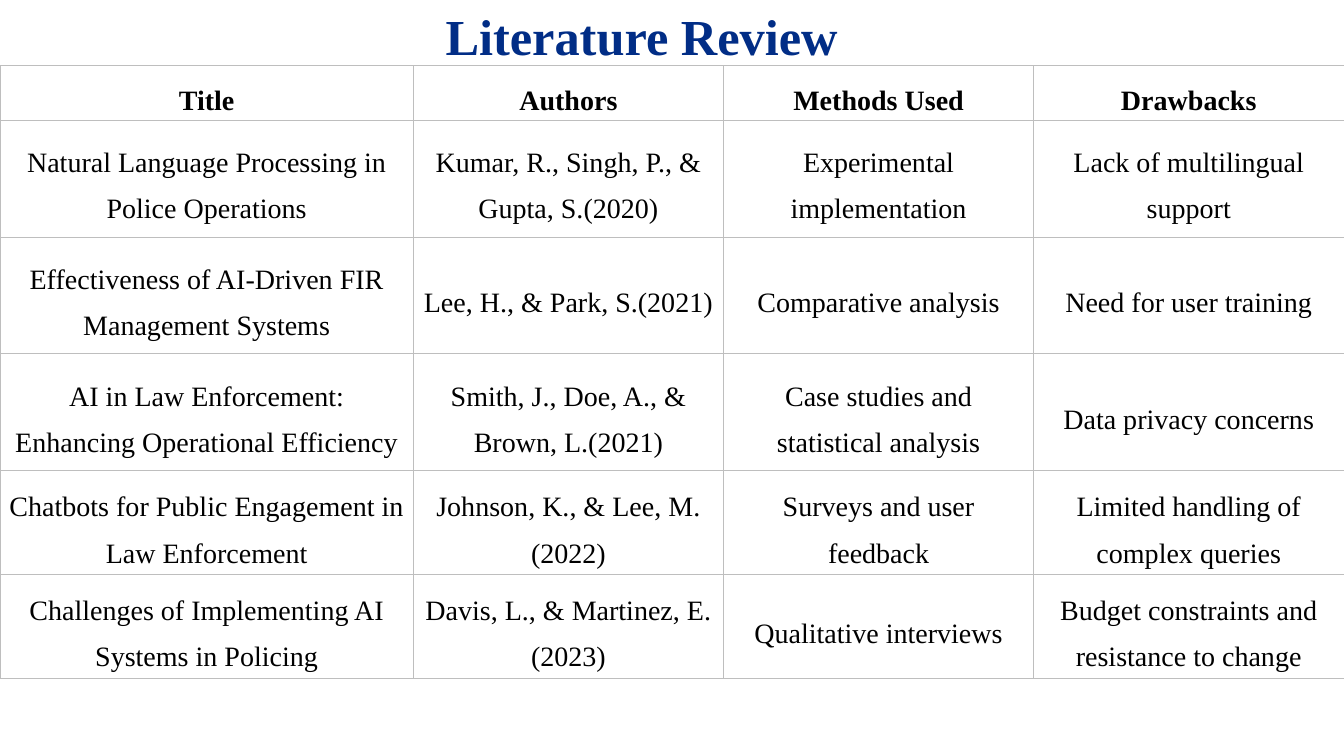
from lxml import etree
from pptx import Presentation
from pptx.dml.color import RGBColor
from pptx.enum.text import MSO_ANCHOR, PP_ALIGN
from pptx.oxml.ns import qn
from pptx.util import Inches, Pt

TITLE = "Literature Review"
ROWS = [
    ("Title", "Authors", "Methods Used", "Drawbacks"),
    ("Natural Language Processing in Police Operations",
     "Kumar, R., Singh, P., & Gupta, S.(2020)",
     "Experimental implementation", "Lack of multilingual support"),
    ("Effectiveness of AI-Driven FIR Management Systems",
     "Lee, H., & Park, S.(2021)",
     "Comparative analysis", "Need for user training"),
    ("AI in Law Enforcement: Enhancing Operational Efficiency",
     "Smith, J., Doe, A., & Brown, L.(2021)",
     "Case studies and statistical analysis", "Data privacy concerns"),
    ("Chatbots for Public Engagement in Law Enforcement",
     "Johnson, K., & Lee, M.(2022)",
     "Surveys and user feedback", "Limited handling of complex queries"),
    ("Challenges of Implementing AI Systems in Policing",
     "Davis, L., & Martinez, E.(2023)",
     "Qualitative interviews", "Budget constraints and resistance to change"),
]
WIDE, HIGH = 13.33, 7.5
TOP, FIRST = 0.65, 4.1
COLS = [FIRST] + [(WIDE - FIRST) / 3] * 3
TALL = [0.54] + [1.16] * 3 + [1.03] * 2
FONT, BLACK, GREY = "Times New Roman", "000000", "BEBEBE"
BLUES = ("012D86", "0E2557")
CENTER, MIDDLE = PP_ALIGN.CENTER, MSO_ANCHOR.MIDDLE


def color(code):
    """Turn a hex string into a colour."""
    return RGBColor.from_string(code)


def write(frame, text, size=20, bold=False, line=None, after=None, fade=None):
    """Write one centred paragraph in a text frame."""
    frame.word_wrap = True
    para = frame.paragraphs[0]
    para.alignment = CENTER
    para.line_spacing = line
    para.space_after = after
    run = para.add_run()
    run.text = text
    font = run.font
    font.name, font.size, font.bold = FONT, Pt(size), bold
    if fade:
        font.fill.gradient()
        font.fill.gradient_angle = 270
        for stop, code in zip(font.fill.gradient_stops, fade):
            stop.color.rgb = color(code)
    else:
        font.color.rgb = color(BLACK)


def border(cell):
    """Draw a thin grey line on each side of a cell."""
    props = cell._tc.get_or_add_tcPr()
    for side in ("lnL", "lnR", "lnT", "lnB"):
        edge = etree.SubElement(props, qn("a:" + side), w=str(Pt(0.5)))
        fill = etree.SubElement(edge, qn("a:solidFill"))
        etree.SubElement(fill, qn("a:srgbClr"), val=GREY)


def grid(slide):
    """Add the table of reviewed papers."""
    table = slide.shapes.add_table(
        len(ROWS), len(COLS), 0, Inches(TOP),
        Inches(WIDE), Inches(sum(TALL))).table
    table.first_row = table.horz_banding = False
    for col, width in zip(table.columns, COLS):
        col.width = Inches(width)
    for r, (row, texts) in enumerate(zip(table.rows, ROWS)):
        row.height = Inches(TALL[r])
        head = r == 0
        for cell, text in zip(row.cells, texts):
            cell.margin_left = cell.margin_right = Inches(0.07)
            cell.margin_top = cell.margin_bottom = 0
            cell.vertical_anchor = MIDDLE
            border(cell)
            cell.fill.background()
            write(cell.text_frame, text, bold=head, line=1.5,
                  after=Pt(8) if head else None)


def main():
    """Build the slide and save it."""
    deck = Presentation()
    deck.slide_width, deck.slide_height = Inches(WIDE), Inches(HIGH)
    slide = deck.slides.add_slide(deck.slide_layouts[6])
    box = slide.shapes.add_textbox(
        Inches(4.06), 0, Inches(4.61), Inches(0.64))
    write(box.text_frame, TITLE, size=36, bold=True, fade=BLUES)
    grid(slide)
    deck.save("out.pptx")


if __name__ == "__main__":
    main()
